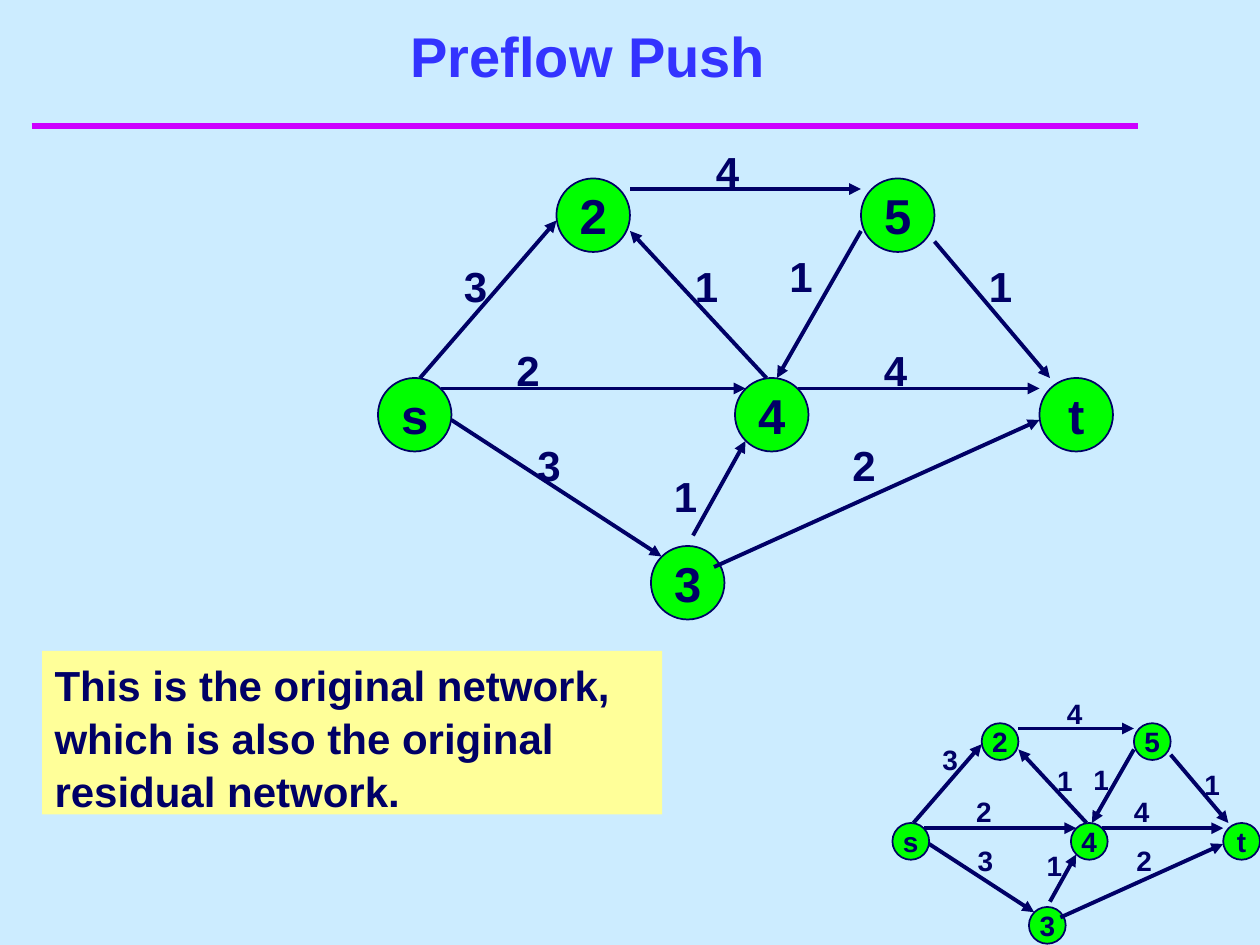
"""Build the Preflow Push slide with a large network and a half-size one."""
from lxml.etree import SubElement
from pptx import Presentation
from pptx.dml.color import RGBColor
from pptx.enum.shapes import MSO_CONNECTOR, MSO_SHAPE
from pptx.enum.text import MSO_ANCHOR, PP_ALIGN
from pptx.oxml.ns import qn
from pptx.util import Cm, Pt

HUES = {"sky": "CCECFF", "rule": "CC00FF", "title": "3333FF",
        "ink": "000066", "node": "00FF00", "note": "FFFF99"}
UNIT = 2.54 / 12

NODES = [("s", 36, 36), ("2", 53, 17), ("4", 70, 36),
         ("5", 82, 17), ("3", 62, 52), ("t", 99, 36)]
EDGES = [(43, 40, 63, 53), (40, 36, 53, 21), (42, 37, 71, 37),
         (73, 36, 60, 22), (60, 18, 82, 18), (82, 22, 74, 36),
         (76, 37, 99, 37), (68, 54, 99, 40), (89, 23, 100, 36),
         (66, 51, 71, 42)]
COSTS = "4114212331"
LARGE = [(67, 13), (93, 24), (74, 23), (83, 32), (80, 41),
         (63, 44), (48, 32), (43, 24), (50, 41), (65, 24)]
SMALL = [(21.26, 13.89), (24.03, 15.32), (21.79, 15.21), (22.61, 15.85),
         (22.66, 16.84), (20.85, 16.94), (19.43, 15.85), (18.75, 14.81),
         (19.46, 16.84), (21.06, 15.24)]


def write(shape, text, size, hue="ink", align=PP_ALIGN.LEFT,
          anchor=MSO_ANCHOR.TOP, wrap=True, pitch=1.05):
    frame = shape.text_frame
    frame.word_wrap = wrap
    frame.vertical_anchor = anchor
    line = frame.paragraphs[0]
    line.alignment = align
    line.line_spacing = pitch
    run = line.add_run()
    run.text = text
    run.font.name = "Arial"
    run.font.size = Pt(size)
    run.font.bold = True
    run.font.color.rgb = RGBColor.from_string(HUES[hue])


def draw(board, ends, hue, width, arrow=False):
    line = board.add_connector(MSO_CONNECTOR.STRAIGHT, *[Cm(n) for n in ends])
    line.line.color.rgb = RGBColor.from_string(HUES[hue])
    line.line.width = Pt(width)
    if arrow:
        SubElement(line.line._get_or_add_ln(), qn("a:tailEnd"), type="triangle")
    SubElement(line._element.spPr, qn("a:effectLst"))


deck = Presentation()
deck.slide_width, deck.slide_height = Cm(25.4), Cm(19.05)
slide = deck.slides.add_slide(deck.slide_layouts[6])
slide.background.fill.solid()
slide.background.fill.fore_color.rgb = RGBColor.from_string(HUES["sky"])
board = slide.shapes

draw(board, (0.64, 2.54, 22.94, 2.54), "rule", 4)

title = board.add_textbox(Cm(1.06), Cm(0.85), Cm(21.59), Cm(1.06))
write(title, "Preflow Push", 32, "title", PP_ALIGN.CENTER, MSO_ANCHOR.BOTTOM, pitch=1)

note = board.add_shape(MSO_SHAPE.RECTANGLE, Cm(0.85), Cm(13.12), Cm(12.5), Cm(3.3))
note.shadow.inherit = False
note.fill.solid()
note.fill.fore_color.rgb = RGBColor.from_string(HUES["note"])
note.line.fill.background()
write(note, "This is the original network, which is also the original "
            "residual network.", 24)

large = [(x * UNIT, y * UNIT) for x, y in LARGE]
plans = [(0.5, 14.18, 12.78, SMALL, 1.07, 0.94, 16, 16),
         (1, 0, 0, large, 1.5, 1.27, 24, 28)]
for scale, left, top, spots, wide, high, small, big in plans:
    net = board.add_group_shape().shapes
    step = UNIT * scale
    for cost, (x, y) in zip(COSTS, spots):
        label = net.add_textbox(Cm(x), Cm(y), Cm(wide), Cm(high))
        write(label, cost, small)
    for name, x, y in NODES:
        node = net.add_shape(MSO_SHAPE.OVAL, Cm(left + x * step), Cm(top + y * step),
                             Cm(7 * step), Cm(7 * step))
        node.shadow.inherit = False
        node.fill.solid()
        node.fill.fore_color.rgb = RGBColor.from_string(HUES["node"])
        node.line.color.rgb = RGBColor.from_string(HUES["ink"])
        node.line.width = Pt(1)
        write(node, name, big, align=PP_ALIGN.CENTER, anchor=MSO_ANCHOR.MIDDLE,
              wrap=False, pitch=1)
    for x, y, far, low in EDGES:
        ends = (left + x * step, top + y * step, left + far * step, top + low * step)
        draw(net, ends, "ink", 2.25, True)

deck.save("out.pptx")
